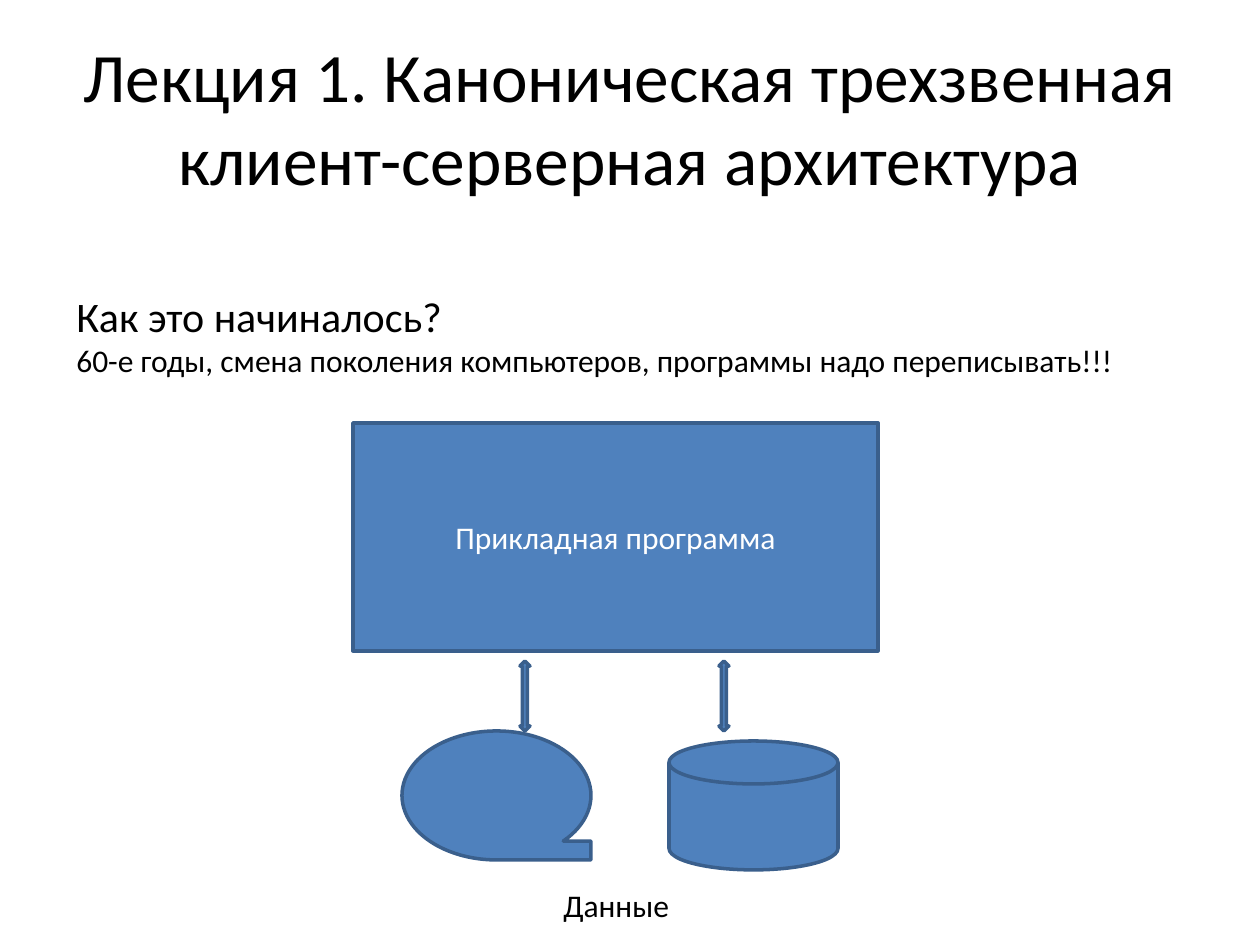
from dataclasses import dataclass

from pptx import Presentation
from pptx import util as u
from pptx.dml.color import RGBColor
from pptx.enum import shapes, text

SCALE = 914400 / 126  # EMU per px
FONT = "Calibri"
BLACK, WHITE, FILL, OUTLINE = "000000", "FFFFFF", "4F81BD", "3A5F8C"


@dataclass(frozen=True)
class Node:
    kind: shapes.MSO_SHAPE
    left: int
    top: int
    width: int
    height: int
    label: str = ""


def px(length: int) -> u.Emu:
    return u.Emu(round(length * SCALE))


def color(code: str) -> RGBColor:
    return RGBColor.from_string(code)


def place(left: int, top: int, width: int, height: int) -> tuple:
    return px(left), px(top), px(width), px(height)


def write(para, words: str, *, size: float = 18, ink: str = BLACK,
          align=text.PP_ALIGN.LEFT) -> None:
    para.alignment = align
    span = para.add_run()
    span.text = words
    span.font.name = FONT
    span.font.size = u.Pt(size)
    span.font.color.rgb = color(ink)


def add_box(page, area: tuple, *, wrap: bool = True):
    frame = page.shapes.add_textbox(*place(*area)).text_frame
    frame.word_wrap = wrap
    frame.auto_size = text.MSO_AUTO_SIZE.SHAPE_TO_FIT_TEXT
    return frame


def draw_node(page, node: Node) -> None:
    shape = page.shapes.add_shape(
        node.kind, *place(node.left, node.top, node.width, node.height))
    shape.shadow.inherit = False
    shape.fill.solid()
    shape.fill.fore_color.rgb = color(FILL)
    shape.line.color.rgb = color(OUTLINE)
    shape.line.width = u.Pt(2)
    if node.label:
        frame = shape.text_frame
        frame.vertical_anchor = text.MSO_ANCHOR.MIDDLE
        write(frame.paragraphs[0], node.label, ink=WHITE,
              align=text.PP_ALIGN.CENTER)


def main() -> None:
    deck = Presentation()
    deck.slide_width, deck.slide_height = px(1260), px(945)
    page = deck.slides.add_slide(deck.slide_layouts[5])

    # Title
    title = page.shapes.title
    title.left, title.top, title.width, title.height = place(63, 38, 1134, 157)
    title.text_frame.auto_size = text.MSO_AUTO_SIZE.NONE
    title.text_frame.vertical_anchor = text.MSO_ANCHOR.MIDDLE
    write(title.text_frame.paragraphs[0],
          "Лекция 1. Каноническая трехзвенная клиент-серверная архитектура",
          size=39.6, align=text.PP_ALIGN.CENTER)

    # Introduction
    intro = add_box(page, (64, 284, 1074, 102), wrap=False)
    write(intro.paragraphs[0], "Как это начиналось?", size=24)
    write(intro.add_paragraph(),
          "60-е годы, смена поколения компьютеров, программы надо переписывать!!!")

    # Program, its two data stores and the arrows between them
    kinds = shapes.MSO_SHAPE
    nodes = [
        Node(kinds.RECTANGLE, 353, 423, 525, 228, "Прикладная программа"),
        Node(kinds.FLOWCHART_SEQUENTIAL_ACCESS_STORAGE, 402, 731, 189, 129),
        Node(kinds.FLOWCHART_MAGNETIC_DISK, 669, 741, 169, 129),
    ]
    nodes += [Node(kinds.UP_DOWN_ARROW, left, 661, 10, 70)
              for left in (520, 719)]
    for node in nodes:
        draw_node(page, node)

    # Caption of the data stores
    caption = add_box(page, (551, 880, 149, 50))
    write(caption.paragraphs[0], "Данные")

    deck.save("out.pptx")


if __name__ == "__main__":
    main()
